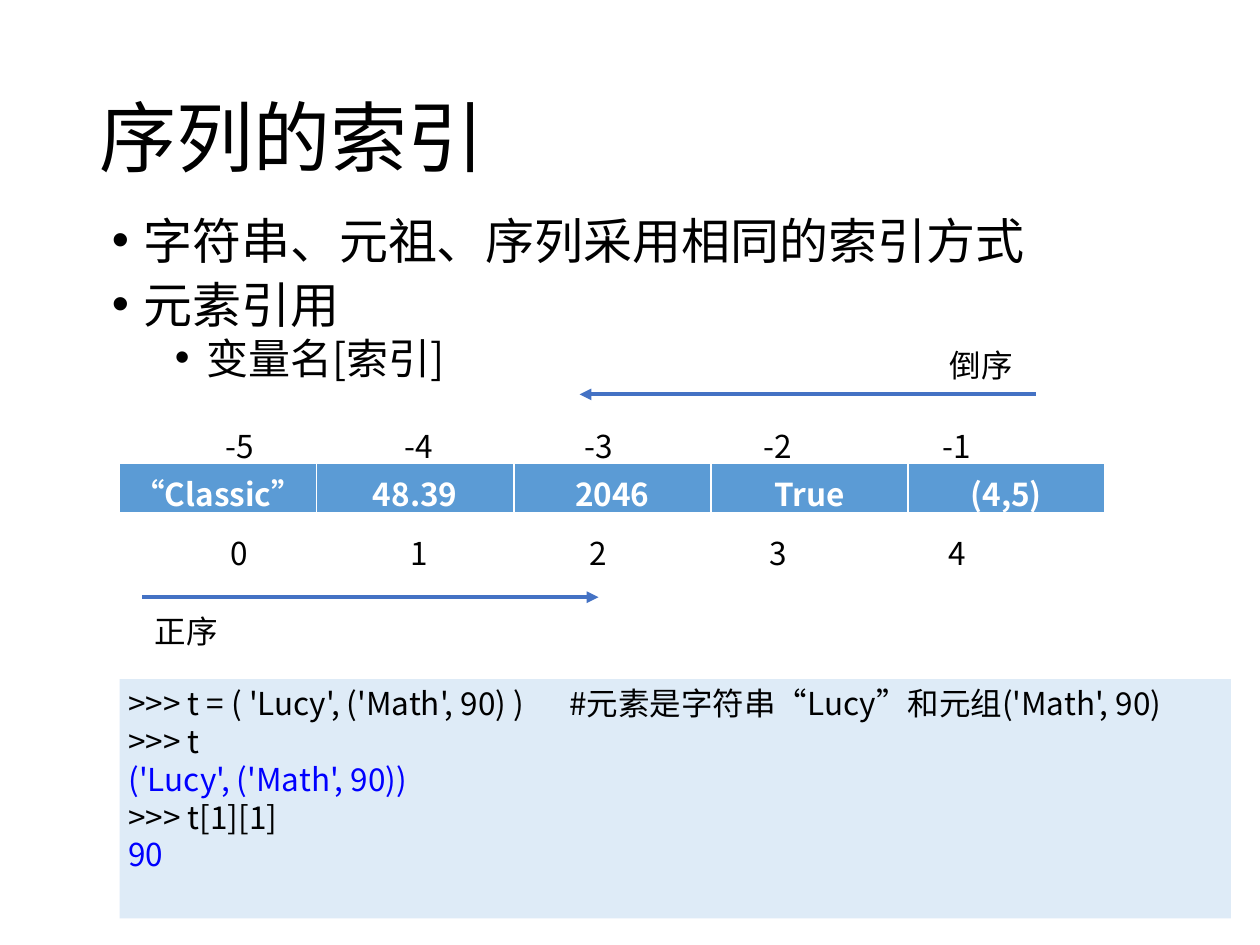
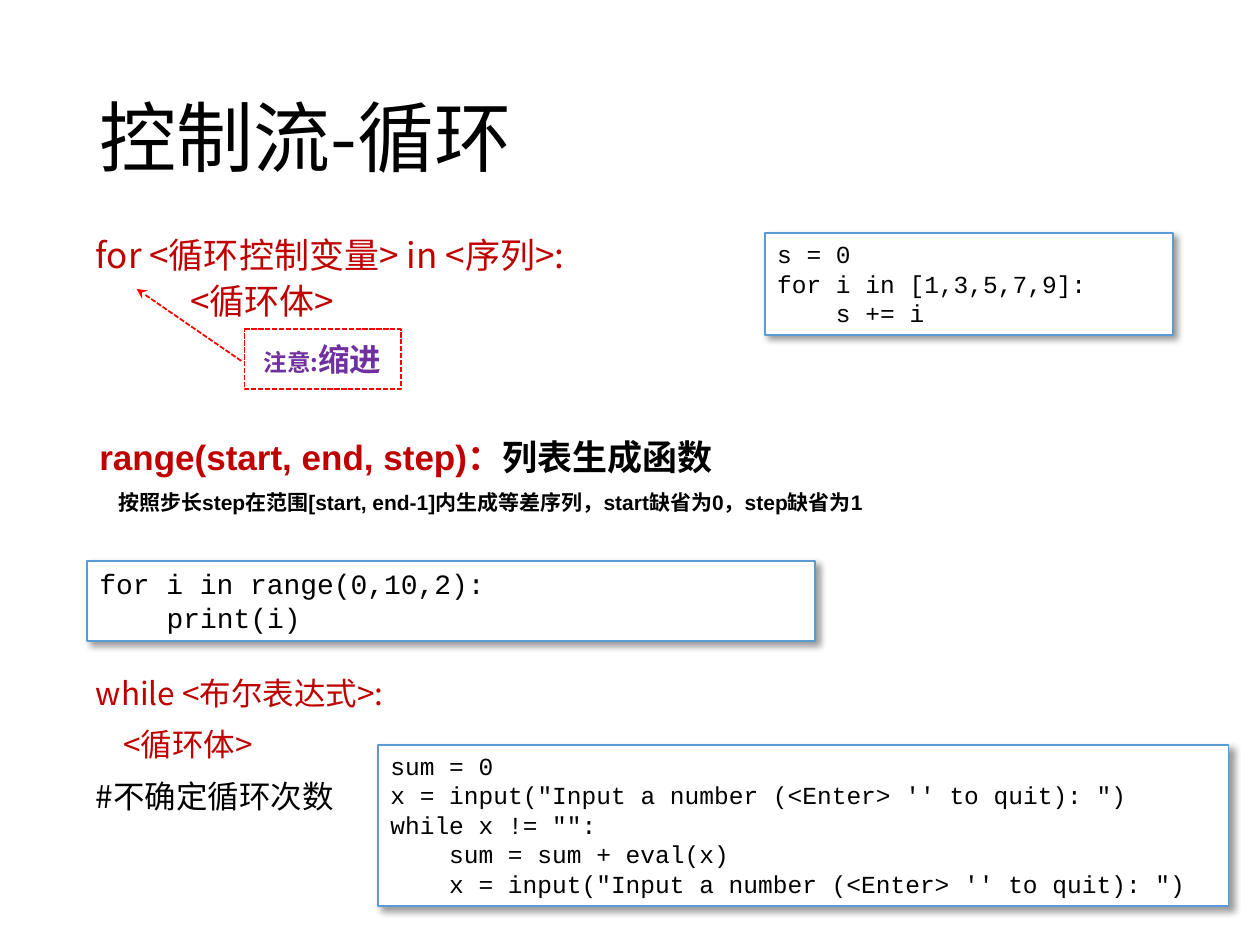
from dataclasses import dataclass, field
from typing import Any, NamedTuple, Optional

from lxml.etree import SubElement
from pptx import Presentation
from pptx.dml.color import RGBColor
from pptx.enum.dml import MSO_LINE
from pptx.enum.shapes import MSO_CONNECTOR, MSO_SHAPE
from pptx.enum.text import MSO_ANCHOR, MSO_AUTO_SIZE, PP_ALIGN
from pptx.oxml.ns import qn
from pptx.util import Inches, Pt

SANS, MONO = "Noto Sans CJK SC", "Courier New"
BLACK, WHITE, RED, PURPLE = "000000", "FFFFFF", "C00000", "7030A0"
OUTPUT_BLUE, CELL_BLUE, PANEL_BLUE = "0000FF", "5B9BD5", "DEEBF7"
ARROW_BLUE, CALLOUT_RED = "4472C4", "FF0000"
NO_GRID_STYLE = "{2D5ABB26-0587-4C30-8999-92F81FD0307C}"
GROW = {"auto_size": MSO_AUTO_SIZE.SHAPE_TO_FIT_TEXT}
TIGHT = {
    "margin_left": Inches(0.07), "margin_right": Inches(0.07),
    "margin_top": Inches(0.04), "margin_bottom": Inches(0.04),
}


class Box(NamedTuple):
    """Place and size in inches."""

    left: float
    top: float
    width: float
    height: float

    def lengths(self) -> list:
        """Give the four values as lengths."""
        return [Inches(value) for value in self]


class Span(NamedTuple):
    """Text in one format."""

    text: str
    size: float = 18
    color: str = BLACK
    bold: bool = False
    font: str = SANS


@dataclass
class Line:
    """One paragraph with its indents in inches."""

    spans: list
    margin: float = 0
    hanging: float = 0
    bullet: str = ""
    tab: float = 0
    form: dict = field(default_factory=dict)


class CodeBox(NamedTuple):
    """Framed listing whose lines are pairs of depth and text."""

    box: Box
    size: float
    lines: list


class IndexRow(NamedTuple):
    """Row of equal cells."""

    box: Box
    values: list
    fill: Optional[str] = None
    color: str = BLACK


class OrderArrow(NamedTuple):
    """Direction arrow with its caption."""

    start: float
    end: float
    level: float
    caption: str
    caption_box: Box


def rgb(color: str) -> RGBColor:
    """Turn a hex string into a colour."""
    return RGBColor.from_string(color)


def apply(target: Any, values: dict) -> None:
    """Set every attribute named in the dict."""
    for name, value in values.items():
        setattr(target, name, value)


def write(frame: Any, lines: list, **form: Any) -> None:
    """Fill a text frame with formatted paragraphs."""
    apply(frame, {"word_wrap": True, "vertical_anchor": MSO_ANCHOR.TOP} | form)
    for number, line in enumerate(lines):
        paragraph = frame.add_paragraph() if number else frame.paragraphs[0]
        apply(paragraph, {"alignment": PP_ALIGN.LEFT} | line.form)
        properties = paragraph._p.get_or_add_pPr()
        properties.set("marL", str(Inches(line.margin)))
        properties.set("indent", str(Inches(-line.hanging)))
        if line.bullet:
            SubElement(properties, qn("a:buFont"), typeface="Arial")
            SubElement(properties, qn("a:buChar"), char=line.bullet)
        if line.tab:
            stops = SubElement(properties, qn("a:tabLst"))
            SubElement(stops, qn("a:tab"), pos=str(Inches(line.tab)), algn="l")
        for span in line.spans:
            run = paragraph.add_run()
            run.text = span.text
            apply(run.font, {"size": Pt(span.size), "bold": span.bold, "name": span.font})
            run.font.color.rgb = rgb(span.color)
            SubElement(run._r.get_or_add_rPr(), qn("a:ea"), typeface=SANS)


def add_text(slide: Any, box: Box, lines: list, **form: Any) -> None:
    """Place a text box."""
    write(slide.shapes.add_textbox(*box.lengths()).text_frame, lines, **form)


def add_panel(slide: Any, box: Box, kind: Any, fill: Optional[str], line: Optional[str]) -> Any:
    """Place a preset shape without shadow."""
    panel = slide.shapes.add_shape(kind, *box.lengths())
    panel.shadow.inherit = False
    if fill:
        panel.fill.solid()
        panel.fill.fore_color.rgb = rgb(fill)
    else:
        panel.fill.background()
    if line:
        panel.line.color.rgb = rgb(line)
        panel.line.width = Pt(1)
    else:
        panel.line.fill.background()
    return panel


def add_arrowhead(shape: Any, kind: str) -> None:
    """Put an arrowhead at the end of the outline."""
    SubElement(shape.element.spPr.find(qn("a:ln")), qn("a:tailEnd"), type=kind)


def add_title(slide: Any, title: str) -> None:
    """Place the slide title."""
    add_text(slide, Box(0.69, 0.4, 8.62, 1.45),
             [Line([Span(title, 44)], form={"line_spacing": 0.9})],
             vertical_anchor=MSO_ANCHOR.MIDDLE)


def add_code(slide: Any, code: CodeBox) -> None:
    """Place a framed listing with a soft shadow."""
    panel = add_panel(slide, code.box, MSO_SHAPE.RECTANGLE, WHITE, CELL_BLUE)
    shadow = SubElement(panel.element.spPr.find(qn("a:effectLst")), qn("a:outerShdw"),
                        blurRad=str(Pt(4)), dist=str(Pt(3)), dir="2700000",
                        algn="tl", rotWithShape="0")
    SubElement(SubElement(shadow, qn("a:srgbClr"), val=BLACK), qn("a:alpha"), val="40000")
    step = 4 * 0.6 * code.size / 72
    write(panel.text_frame,
          [Line([Span(text, code.size, font=MONO)], margin=depth * step)
           for depth, text in code.lines], **GROW)


def add_row(slide: Any, row: IndexRow) -> None:
    """Place a one-row table."""
    table = slide.shapes.add_table(1, len(row.values), *row.box.lengths()).table
    apply(table, {"first_row": False, "horz_banding": False})
    table._tbl.tblPr.find(qn("a:tableStyleId")).text = NO_GRID_STYLE
    for column, value in enumerate(row.values):
        table.columns[column].width = Inches(row.box.width / len(row.values))
        cell = table.cell(0, column)
        write(cell.text_frame,
              [Line([Span(value, color=row.color, bold=bool(row.fill))],
                    form={"alignment": PP_ALIGN.CENTER})])
        if not row.fill:
            cell.fill.background()
            continue
        properties = cell._tc.get_or_add_tcPr()
        for side, width in {"L": 1, "R": 1, "T": 1, "B": 3}.items():
            border = SubElement(properties, qn(f"a:ln{side}"), w=str(Pt(width)))
            SubElement(SubElement(border, qn("a:solidFill")), qn("a:srgbClr"), val=WHITE)
        cell.fill.solid()
        cell.fill.fore_color.rgb = rgb(row.fill)


def add_order(slide: Any, order: OrderArrow) -> None:
    """Place a direction arrow and its caption."""
    level = Inches(order.level)
    arrow = slide.shapes.add_connector(
        MSO_CONNECTOR.STRAIGHT, Inches(order.start), level, Inches(order.end), level)
    arrow.line.color.rgb = rgb(ARROW_BLUE)
    arrow.line.width = Pt(2.25)
    add_arrowhead(arrow, "triangle")
    SubElement(arrow.element.spPr, qn("a:effectLst"))
    add_text(slide, order.caption_box, [Line([Span(order.caption)])], word_wrap=False, **GROW)


def build_indexing(slide: Any) -> None:
    """Build the slide on sequence indexing."""
    add_title(slide, "序列的索引")
    points = [("字符串、元祖、序列采用相同的索引方式", 28, 0.25, 10),
              ("元素引用", 28, 0.25, 10), ("变量名[索引]", 24, 0.75, 5)]
    add_text(slide, Box(0.79, 1.71, 8.06, 1.44),
             [Line([Span(text, size)], margin, 0.25, "•",
                   form={"line_spacing": 0.8, "space_before": Pt(before)})
              for text, size, margin, before in points])
    session = add_panel(slide, Box(0.95, 5.39, 8.82, 1.9), MSO_SHAPE.RECTANGLE, PANEL_BLUE, None)
    dialogue = [
        (">>> t = ( 'Lucy', ('Math', 90) )\t#元素是字符串“Lucy”和元组('Math', 90)", BLACK),
        (">>> t", BLACK), ("('Lucy', ('Math', 90))", OUTPUT_BLUE),
        (">>> t[1][1]", BLACK), ("90", OUTPUT_BLUE),
    ]
    write(session.text_frame,
          [Line([Span(text, color=color)], tab=3.3 if "\t" in text else 0)
           for text, color in dialogue], **TIGHT)
    elements = ["“Classic”", "48.39", "2046", "True", "(4,5)"]
    count = len(elements)
    for row in (
        IndexRow(Box(0.95, 3.68, 7.82, 0.4), elements, CELL_BLUE, WHITE),
        IndexRow(Box(1.19, 3.3, 7.12, 0.41), [str(i - count) for i in range(count)]),
        IndexRow(Box(1.19, 4.15, 7.12, 0.41), [str(i) for i in range(count)]),
    ):
        add_row(slide, row)
    add_order(slide, OrderArrow(8.22, 4.6, 3.13, "倒序", Box(7.44, 2.7, 0.71, 0.4)))
    add_order(slide, OrderArrow(1.13, 4.75, 4.74, "正序", Box(1.13, 4.81, 0.71, 0.4)))


def build_loops(slide: Any) -> None:
    """Build the slide on loops."""
    add_title(slide, "控制流-循环")
    for box, size, syntax in (
        (Box(0.69, 1.85, 4.35, 0.76), 20,
         [("for <循环控制变量> in <序列>:", 0, 10, RED), ("<循环体>", 0.75, 5, RED)]),
        (Box(0.69, 5.34, 3.01, 1.3), 18,
         [("while <布尔表达式>:", 0, 10, RED), ("<循环体>", 0.22, 10, RED),
          ("#不确定循环次数", 0, 10, BLACK)]),
    ):
        add_text(slide, box,
                 [Line([Span(text, size, color)], margin,
                       form={"line_spacing": 0.9, "space_before": Pt(before)})
                  for text, margin, before, color in syntax], **TIGHT)
    callout = add_panel(slide, Box(1.94, 2.61, 1.24, 0.48), MSO_SHAPE.LINE_CALLOUT_1,
                        None, CALLOUT_RED)
    for number, share in enumerate((0.53, -0.02, -0.66, -0.69)):
        callout.adjustments[number] = share
    callout.line.dash_style = MSO_LINE.SQUARE_DOT
    add_arrowhead(callout, "stealth")
    write(callout.text_frame,
          [Line([Span("注意:", 13.5, PURPLE, True), Span("缩进", 18, PURPLE, True)],
                form={"alignment": PP_ALIGN.CENTER})], vertical_anchor=MSO_ANCHOR.MIDDLE)
    spacing = {"line_spacing": 1.5}
    add_text(slide, Box(0.69, 3.24, 7.53, 0.87), [
        Line([Span("range(start, end, step)：", 20, RED, True, "Arial"),
              Span("列表生成函数", 20, BLACK, True, "Arial")], form=spacing),
        Line([Span("按照步长step在范围[start, end-1]内生成等差序列，start缺省为0，step缺省为1",
                   12, BLACK, True, "Arial")], margin=0.15, form=spacing),
    ], **GROW)
    prompt = "x = input(\"Input a number (<Enter> '' to quit): \")"
    for code in (
        CodeBox(Box(3, 5.91, 6.75, 1.28), 14,
                [(0, "sum = 0"), (0, prompt), (0, 'while x != "":'),
                 (1, "sum = sum + eval(x)"), (1, prompt)]),
        CodeBox(Box(6.07, 1.85, 3.24, 0.81), 14,
                [(0, "s = 0"), (0, "for i in [1,3,5,7,9]:"), (1, "s += i")]),
        CodeBox(Box(0.69, 4.45, 5.78, 0.64), 16,
                [(0, "for i in range(0,10,2):"), (1, "print(i)")]),
    ):
        add_code(slide, code)


def main() -> None:
    """Build and save the presentation."""
    deck = Presentation()
    apply(deck, {"slide_width": Inches(10), "slide_height": Inches(7.5)})
    for build in (build_indexing, build_loops):
        build(deck.slides.add_slide(deck.slide_layouts[6]))
    deck.save("out.pptx")


if __name__ == "__main__":
    main()
